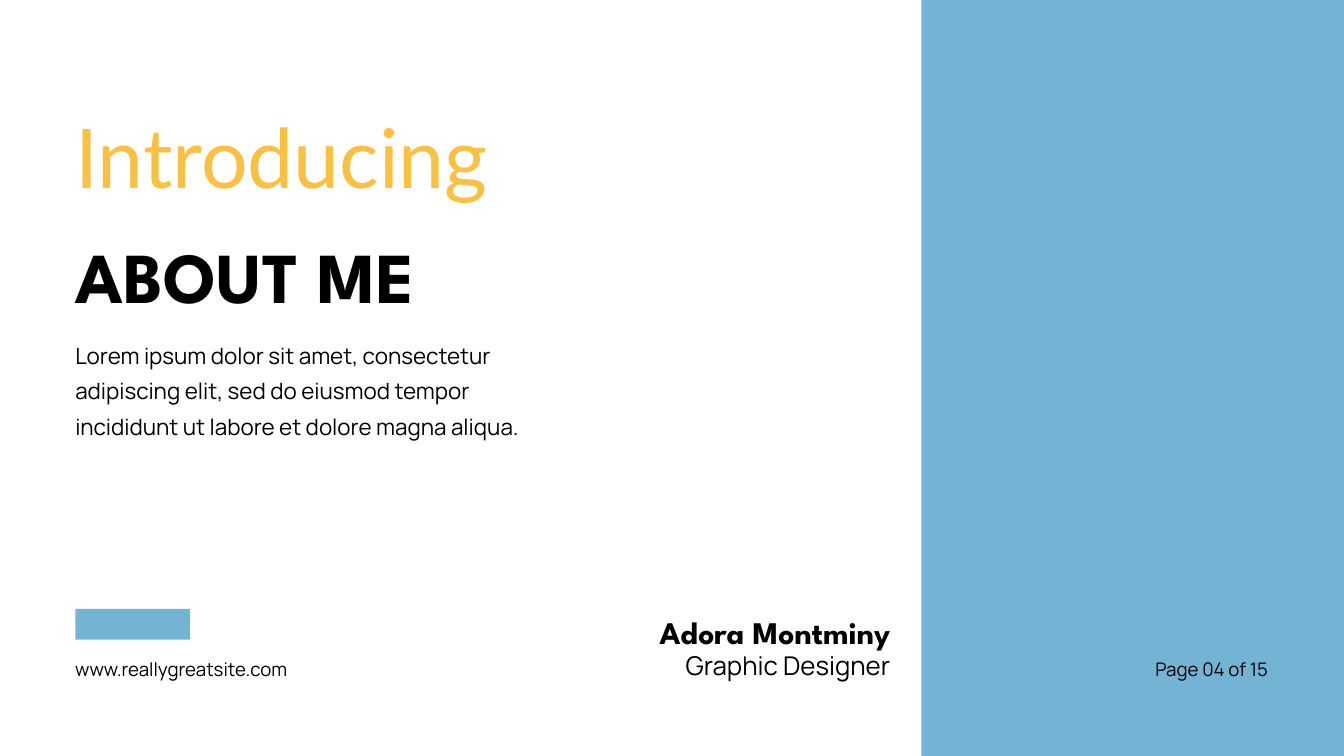
import pptx
import pptx.util
import pptx.dml.color
import pptx.enum.shapes
import pptx.enum.text
import pptx.oxml.xmlchemy
from pptx.util import Inches

COLORS = {"blue": "73B4D5", "yellow": "F9C041", "black": "000000", "white": "FFFFFF"}
ALIGN = pptx.enum.text.PP_ALIGN


def rgb(name):
    return pptx.dml.color.RGBColor.from_string(COLORS[name])


def write_text(tf, text, *, font="Manrope", size=20, leading=28, color="black",
               bold=False, align=ALIGN.LEFT):
    """Fill a text frame with one plain paragraph."""
    tf.auto_size = pptx.enum.text.MSO_AUTO_SIZE.NONE
    tf.word_wrap = True
    tf.vertical_anchor = pptx.enum.text.MSO_ANCHOR.TOP
    tf.margin_left = tf.margin_right = tf.margin_top = tf.margin_bottom = 0
    p = tf.paragraphs[0]
    pPr = p._p.get_or_add_pPr()
    pPr.set("marL", "0")
    pPr.set("indent", "0")
    pPr.append(pptx.oxml.xmlchemy.OxmlElement("a:buNone"))
    p.alignment = align
    p.line_spacing = pptx.util.Pt(leading)
    p.space_before = p.space_after = pptx.util.Pt(0)
    r = p.add_run()
    r.text = text
    r.font.name = font
    r.font.size = pptx.util.Pt(size)
    r.font.bold = bold
    r.font.color.rgb = rgb(color)


class Deck:
    """Holds the style and the current slide."""
    heading = "League Spartan"
    accent = "Lato"
    margin = 1.12

    def __init__(self, width, height):
        self.prs = pptx.Presentation()
        self.prs.slide_width = Inches(width)
        self.prs.slide_height = Inches(height)

    def add_slide(self):
        self.s = self.prs.slides.add_slide(self.prs.slide_layouts[1])
        fill = self.s.background.fill
        fill.solid()
        fill.fore_color.rgb = rgb("white")

    def block(self, x, y, w, h, color="blue"):
        sp = self.s.shapes.add_shape(pptx.enum.shapes.MSO_SHAPE.RECTANGLE,
                                     Inches(x), Inches(y), Inches(w), Inches(h))
        sp.shadow.inherit = False
        sp.fill.solid()
        sp.fill.fore_color.rgb = rgb(color)
        sp.line.fill.background()

    def placeholder(self, idx, text, x, y, w, h, **style):
        sp = self.s.placeholders[idx]
        sp.left, sp.top, sp.width, sp.height = map(Inches, (x, y, w, h))
        write_text(sp.text_frame, text, **style)

    def label(self, text, x, y, w, h, **style):
        sp = self.s.shapes.add_textbox(Inches(x), Inches(y), Inches(w), Inches(h))
        write_text(sp.text_frame, text, **style)


def main():
    deck = Deck(20, 11.25)
    deck.add_slide()
    left = deck.margin

    # Colour blocks
    deck.block(13.71, 0, 6.29, 11.25)
    deck.block(left, 9.06, 1.71, 0.46)

    # Heading and introduction
    deck.label("Introducing", left, 1.75, 6.24, 1.34, font=deck.accent,
               size=88.3, leading=93.6, color="yellow")
    deck.placeholder(0, "ABOUT ME", left, 3.67, 6.58, 1.11, font=deck.heading,
                     size=76.8, leading=76.8, bold=True)
    deck.placeholder(1, "Lorem ipsum dolor sit amet, consectetur adipiscing elit, "
                     "sed do eiusmod tempor incididunt ut labore et dolore magna aliqua.",
                     left, 4.95, 7.04, 2.12, size=24, leading=38.4)

    # Name and role
    deck.label("Adora Montminy", 8.29, 9.03, 4.96, 0.63, font=deck.heading,
               size=33.7, leading=47.2, bold=True, align=ALIGN.RIGHT)
    deck.label("Graphic Designer", 8.29, 9.59, 4.96, 0.54,
               size=27.7, leading=38.8, align=ALIGN.RIGHT)

    # Footer
    deck.label("www.reallygreatsite.com", left, 9.73, 4.46, 0.39)
    deck.label("Page 04 of 15", 16.7, 9.73, 2.17, 0.39, align=ALIGN.RIGHT)

    deck.prs.save("out.pptx")


if __name__ == "__main__":
    main()
